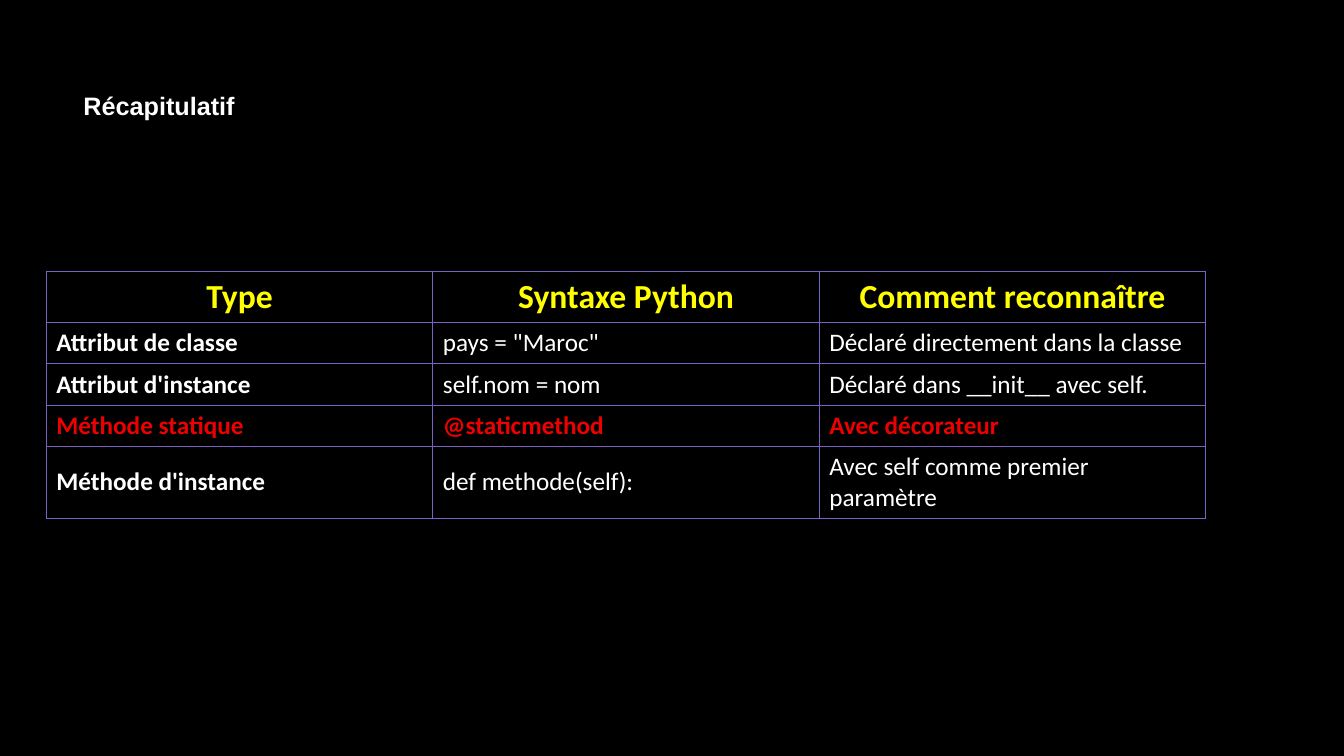
from lxml.etree import SubElement
from pptx import Presentation
from pptx.dml.color import RGBColor
from pptx.enum.text import MSO_ANCHOR as Anchor, PP_ALIGN as Align
from pptx.oxml.ns import qn
from pptx.util import Inches, Pt

BLACK = RGBColor(0x00, 0x00, 0x00)
WHITE = RGBColor(0xFF, 0xFF, 0xFF)
YELLOW = RGBColor(0xFF, 0xFF, 0x00)
RED = RGBColor(0xEE, 0x00, 0x00)
PURPLE = RGBColor(0x7C, 0x60, 0xC6)

HEADINGS = ("Type", "Syntaxe Python", "Comment reconnaître")
MEMBERS = (
    ("Attribut de classe", 'pays = "Maroc"', "Déclaré directement dans la classe"),
    ("Attribut d'instance", "self.nom = nom", "Déclaré dans __init__ avec self."),
    ("Méthode statique", "@staticmethod", "Avec décorateur"),
    ("Méthode d'instance", "def methode(self):", "Avec self comme premier paramètre"),
)
HIGHLIGHTED = "Méthode statique"
ROW_HEIGHTS = (0.51, 0.41, 0.41, 0.41, 0.71)


def add_run(paragraph, wording, font, size, color, bold):
    """Add one formatted run to a paragraph."""
    run = paragraph.add_run()
    run.text = wording
    run.font.name = font
    run.font.size = Pt(size)
    run.font.color.rgb = color
    run.font.bold = bold


def add_borders(cell):
    """Draw a thin purple line on the four sides of a cell."""
    properties = cell._tc.get_or_add_tcPr()
    for side in ("a:lnL", "a:lnR", "a:lnT", "a:lnB"):
        border = SubElement(properties, qn(side), w=str(Pt(1)))
        fill = SubElement(border, qn("a:solidFill"))
        SubElement(fill, qn("a:srgbClr"), val=str(PURPLE))


def add_title(slide, left, top, width, height):
    """Place the slide title at the top of its box."""
    title = slide.shapes.add_textbox(
        Inches(left), Inches(top), Inches(width), Inches(height))
    frame = title.text_frame
    frame.word_wrap = True
    frame.margin_top = 0
    frame.vertical_anchor = Anchor.TOP
    add_run(frame.paragraphs[0], "Récapitulatif", "Arial", 18, WHITE, True)


def add_summary(slide, left, top, width):
    """Place the summary table with equal columns across its width."""
    rows = (HEADINGS, *MEMBERS)
    summary = slide.shapes.add_table(
        len(rows), len(HEADINGS), Inches(left), Inches(top),
        Inches(width), Inches(sum(ROW_HEIGHTS))).table
    for row, height in zip(summary.rows, ROW_HEIGHTS):
        row.height = Inches(height)
    for r, wordings in enumerate(rows):
        heading = r == 0
        highlighted = wordings[0] == HIGHLIGHTED
        color = YELLOW if heading else RED if highlighted else WHITE
        for c, wording in enumerate(wordings):
            cell = summary.cell(r, c)
            add_borders(cell)
            cell.fill.background()
            cell.vertical_anchor = Anchor.MIDDLE
            paragraph = cell.text_frame.paragraphs[0]
            paragraph.alignment = Align.CENTER if heading else Align.LEFT
            add_run(paragraph, wording, "Calibri", 24 if heading else 18,
                    color, heading or highlighted or c == 0)


def main():
    """Build the recap slide and save it."""
    deck = Presentation()
    deck.slide_width, deck.slide_height = Inches(13.33), Inches(7.5)
    slide = deck.slides.add_slide(deck.slide_layouts[6])
    slide.background.fill.solid()
    slide.background.fill.fore_color.rgb = BLACK
    add_summary(slide, 0.46, 2.69, 11.5)
    add_title(slide, 0.73, 0.9, 12, 0.5)
    deck.save("out.pptx")


if __name__ == "__main__":
    main()
